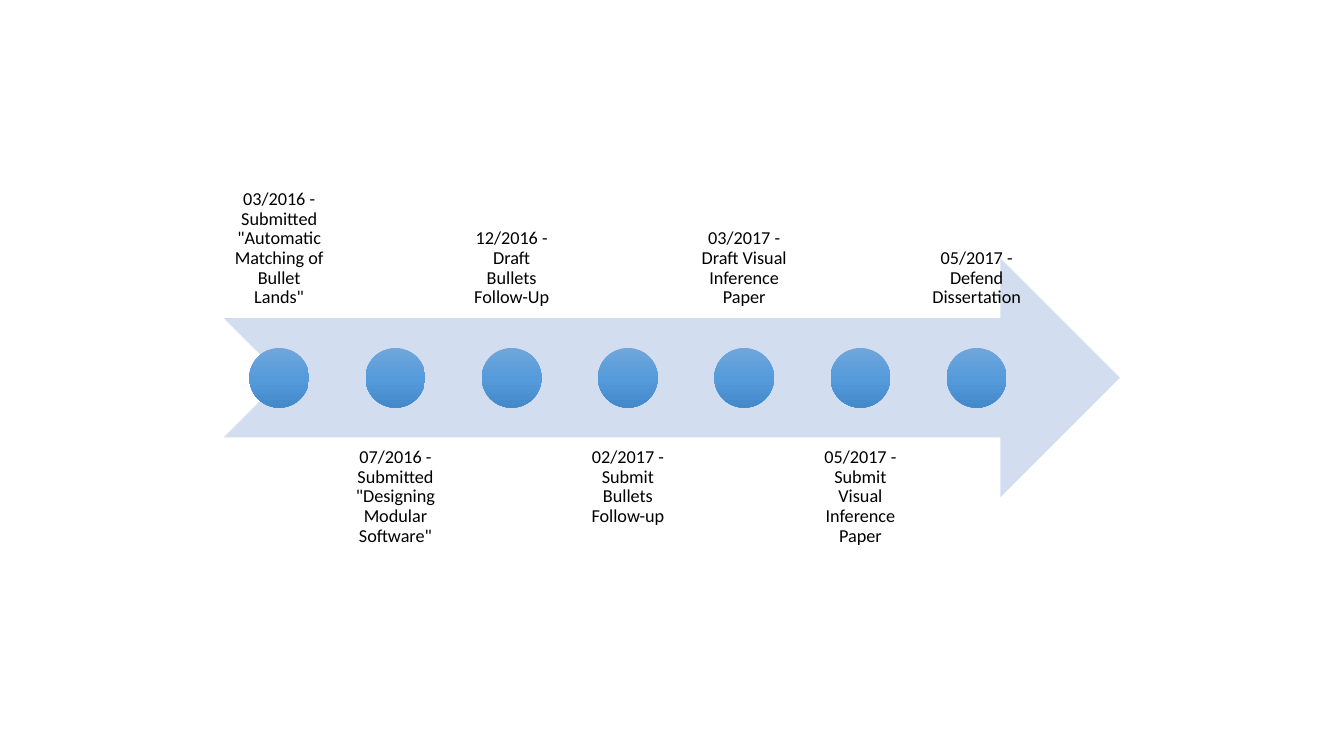
from copy import deepcopy
from dataclasses import dataclass

from pptx import Presentation
from pptx.dml.color import RGBColor
from pptx.enum.shapes import MSO_SHAPE
from pptx.enum.text import MSO_ANCHOR, PP_ALIGN
from pptx.oxml.ns import qn
from pptx.util import Cm, Pt


@dataclass(frozen=True)
class Theme:
    arrow: str = "D2DEEF"
    dot_stops: tuple = ((0, "71A6DB"), (0.5, "559BDB"), (1, "448ACA"))
    text: str = "000000"
    font: str = "Calibri"
    label_size: float = 13


@dataclass(frozen=True)
class Box:
    left: float
    top: float
    width: float
    height: float

    def lengths(self):
        return Cm(self.left), Cm(self.top), Cm(self.width), Cm(self.height)


THEME = Theme()
MILESTONES = (
    '03/2016 - Submitted "Automatic Matching of Bullet Lands"',
    '07/2016 - Submitted "Designing Modular Software"',
    "12/2016 - Draft Bullets Follow-Up",
    "02/2017 - Submit Bullets Follow-up",
    "03/2017 - Draft Visual Inference Paper",
    "05/2017 - Submit Visual Inference Paper",
    "05/2017 - Defend Dissertation",
)
LABEL_WIDTH = 2.79
LABEL_INSET = 0.26
LABEL_GAP_RATIO = 0.05


def add_plain_shape(shapes, kind, box):
    shape = shapes.add_shape(kind, *box.lengths())
    shape.shadow.inherit = False
    shape.line.fill.background()
    return shape


def add_arrow(shapes, box):
    arrow = add_plain_shape(shapes, MSO_SHAPE.NOTCHED_RIGHT_ARROW, box)
    arrow.fill.solid()
    arrow.fill.fore_color.rgb = RGBColor.from_string(THEME.arrow)


def add_label(shapes, box, text, anchor):
    label = shapes.add_textbox(*box.lengths())
    frame = label.text_frame
    frame.word_wrap = True
    frame.vertical_anchor = anchor
    frame.margin_left = frame.margin_right = Cm(LABEL_INSET)
    frame.margin_top = frame.margin_bottom = Cm(LABEL_INSET)
    frame.text = text
    para = frame.paragraphs[0]
    para.alignment = PP_ALIGN.CENTER
    para.line_spacing = 0.9
    span = para.runs[0]
    span.font.name = THEME.font
    span.font.size = Pt(THEME.label_size)
    span.font.color.rgb = RGBColor.from_string(THEME.text)


def add_dot(shapes, box):
    dot = add_plain_shape(shapes, MSO_SHAPE.OVAL, box)
    dot.fill.gradient()
    dot.fill.gradient_angle = 270
    stop_list = dot.element.spPr.find(".//" + qn("a:gsLst"))
    stop_list.append(deepcopy(stop_list[-1]))
    for stop, (position, color) in zip(dot.fill.gradient_stops, THEME.dot_stops):
        stop.position = position
        stop.color.rgb = RGBColor.from_string(color)


def add_timeline(page, box):
    shapes = page.shapes.add_group_shape().shapes
    add_arrow(shapes, box)
    step = LABEL_WIDTH * (1 + LABEL_GAP_RATIO)
    dot_size = box.height / 4
    for index, text in enumerate(MILESTONES):
        left = box.left + index * step
        above = index % 2 == 0
        label_top = box.top + box.height * (-0.75 if above else 0.75)
        label_box = Box(left, label_top, LABEL_WIDTH, box.height)
        add_label(shapes, label_box, text, MSO_ANCHOR.BOTTOM if above else MSO_ANCHOR.TOP)
        dot_left = left + (LABEL_WIDTH - dot_size) / 2
        dot_top = box.top + (box.height - dot_size) / 2
        add_dot(shapes, Box(dot_left, dot_top, dot_size, dot_size))


def main():
    deck = Presentation()
    deck.slide_width = Cm(33.87)
    deck.slide_height = Cm(19.05)
    page = deck.slides.add_slide(deck.slide_layouts[6])
    add_timeline(page, Box(5.64, 6.51, 22.58, 6.02))
    deck.save("out.pptx")


if __name__ == "__main__":
    main()
